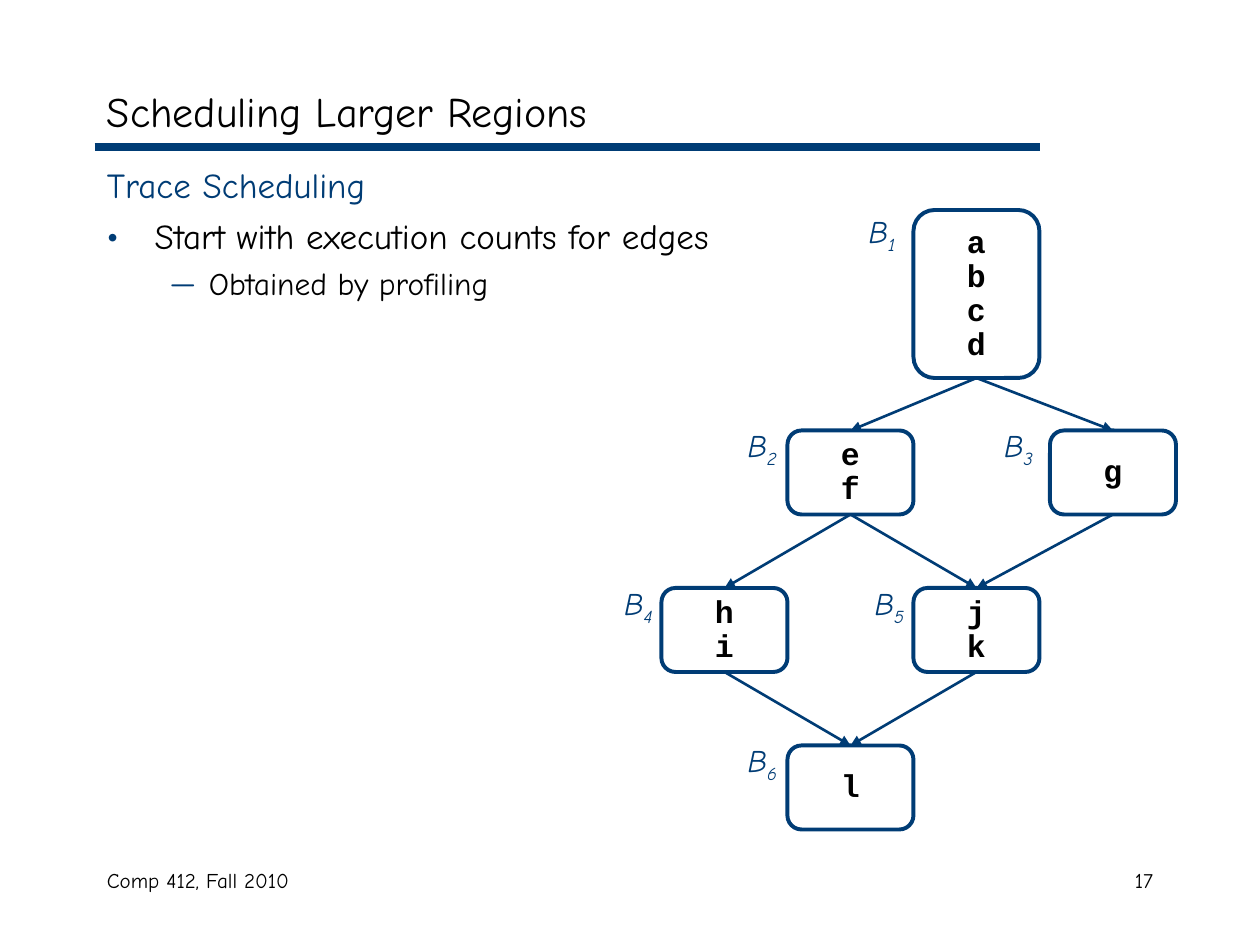
from lxml import etree
from pptx import Presentation
from pptx.dml.color import RGBColor
from pptx.enum.shapes import MSO_CONNECTOR, MSO_SHAPE
from pptx.enum.text import MSO_ANCHOR, PP_ALIGN
from pptx.oxml.ns import qn
from pptx.util import Inches, Pt

STRAIGHT = MSO_CONNECTOR.STRAIGHT
ROUNDED = MSO_SHAPE.ROUNDED_RECTANGLE
TOP, MIDDLE = MSO_ANCHOR.TOP, MSO_ANCHOR.MIDDLE
LEFT, CENTER, RIGHT = PP_ALIGN.LEFT, PP_ALIGN.CENTER, PP_ALIGN.RIGHT
TOP_SITE, BOTTOM_SITE = 0, 2
COLORS = {"navy": "003C75", "black": "000000"}
BODY_FONT, CODE_FONT = "Comic Neue", "Courier New"
CELLS_PER_INCH = 12
BLOCK_WIDTH = 12

BLOCKS = {
    "1": (87, 20, 16, "abcd", -6, -0.4),
    "2": (75, 41, 8, "ef", -5.4, -1),
    "3": (100, 41, 8, "g", -6, -1),
    "4": (63, 56, 8, "hi", -5.2, -1),
    "5": (87, 56, 8, "jk", -5.3, -1),
    "6": (75, 71, 8, "l", -5.4, -1),
}
EDGES = ["12", "13", "24", "25", "35", "56", "46"]


def grid(cells):
    return Inches(cells / CELLS_PER_INCH)


def color(name):
    return RGBColor.from_string(COLORS[name])


def write(paragraph, text, size=18, fill="black", font=BODY_FONT, bold=False,
          italic=False, baseline=0):
    run = paragraph.add_run()
    run.text = text
    run.font.name = font
    run.font.size = Pt(size)
    run.font.bold = bold
    run.font.italic = italic
    run.font.color.rgb = color(fill)
    if baseline:
        run.font._element.set("baseline", str(baseline * 1000))


def set_bullet(paragraph, character, margin, hanging, percent=100):
    properties = paragraph._p.get_or_add_pPr()
    properties.set("marL", str(Inches(margin)))
    properties.set("indent", str(-Inches(hanging)))
    bullet_color = etree.SubElement(properties, qn("a:buClr"))
    etree.SubElement(bullet_color, qn("a:srgbClr"), val=COLORS["navy"])
    etree.SubElement(properties, qn("a:buSzPct"), val=str(percent * 1000))
    etree.SubElement(properties, qn("a:buFont"), typeface=BODY_FONT)
    etree.SubElement(properties, qn("a:buChar"), char=character)


class Deck:
    def __init__(self):
        self.presentation = Presentation()
        self.presentation.slide_width = Inches(10)
        self.presentation.slide_height = Inches(7.5)
        self.slide = self.presentation.slides.add_slide(
            self.presentation.slide_layouts[6])

    def text_box(self, column, row, columns, rows, anchor=TOP):
        box = self.slide.shapes.add_textbox(
            grid(column), grid(row), grid(columns), grid(rows))
        box.text_frame.word_wrap = True
        box.text_frame.vertical_anchor = anchor
        return box.text_frame

    def line_of_text(self, text, column, row, columns, rows, anchor=TOP,
                     align=LEFT, **style):
        paragraph = self.text_box(column, row, columns, rows, anchor).paragraphs[0]
        paragraph.alignment = align
        write(paragraph, text, **style)

    def bullets(self, column, row, columns, rows):
        frame = self.text_box(column, row, columns, rows)
        write(frame.paragraphs[0], "Trace Scheduling", size=20, fill="navy")
        point = frame.add_paragraph()
        point.space_before = Pt(5)
        set_bullet(point, "•", 0.38, 0.38, 120)
        write(point, "Start with execution counts for edges", size=20)
        detail = frame.add_paragraph()
        detail.level = 1
        detail.space_before = Pt(4.5)
        set_bullet(detail, "—", 0.81, 0.31)
        write(detail, "Obtained by profiling")

    def block(self, column, row, rows, operations):
        shape = self.slide.shapes.add_shape(
            ROUNDED, grid(column), grid(row), grid(BLOCK_WIDTH), grid(rows))
        shape.shadow.inherit = False
        shape.adjustments[0] = 0.167
        shape.fill.background()
        shape.line.color.rgb = color("navy")
        shape.line.width = Pt(2.25)
        frame = shape.text_frame
        frame.word_wrap = False
        frame.vertical_anchor = MIDDLE
        for index, operation in enumerate(operations):
            paragraph = frame.add_paragraph() if index else frame.paragraphs[0]
            paragraph.alignment = CENTER
            paragraph.line_spacing = 0.9
            write(paragraph, operation, font=CODE_FONT, bold=True)
        return shape

    def block_label(self, number, column, row):
        paragraph = self.text_box(column, row, 6, 5.3).paragraphs[0]
        paragraph.alignment = CENTER
        write(paragraph, "B", fill="navy", italic=True)
        write(paragraph, number, fill="navy", italic=True, baseline=-25)

    def line(self, start, end, width):
        connector = self.slide.shapes.add_connector(
            STRAIGHT, *(grid(cells) for cells in (*start, *end)))
        connector.line.color.rgb = color("navy")
        connector.line.width = Pt(width)
        etree.SubElement(connector._element.spPr, qn("a:effectLst"))
        return connector

    def arrow(self, source, target):
        connector = self.line((0, 0), (0, 0), 1.5)
        connector.begin_connect(source, BOTTOM_SITE)
        connector.end_connect(target, TOP_SITE)
        etree.SubElement(connector.line._get_or_add_ln(), qn("a:tailEnd"),
                         type="triangle")


def main():
    deck = Deck()
    deck.line((9, 14), (99, 14), 4.5)
    deck.line_of_text("Comp 412, Fall 2010", 9, 82, 38, 6, size=12)
    deck.line_of_text("17", 86, 82, 25, 6, align=RIGHT, size=12)
    deck.line_of_text("Scheduling Larger Regions", 9, 7, 102, 7, MIDDLE, size=24)
    deck.bullets(9, 15, 102, 65)

    shapes = {}
    for number, (column, row, rows, operations, _, _) in BLOCKS.items():
        shapes[number] = deck.block(column, row, rows, operations)
    for source, target in EDGES:
        deck.arrow(shapes[source], shapes[target])
    for number, (column, row, _, _, shift, lift) in BLOCKS.items():
        deck.block_label(number, column + shift, row + lift)

    deck.presentation.save("out.pptx")


if __name__ == "__main__":
    main()
